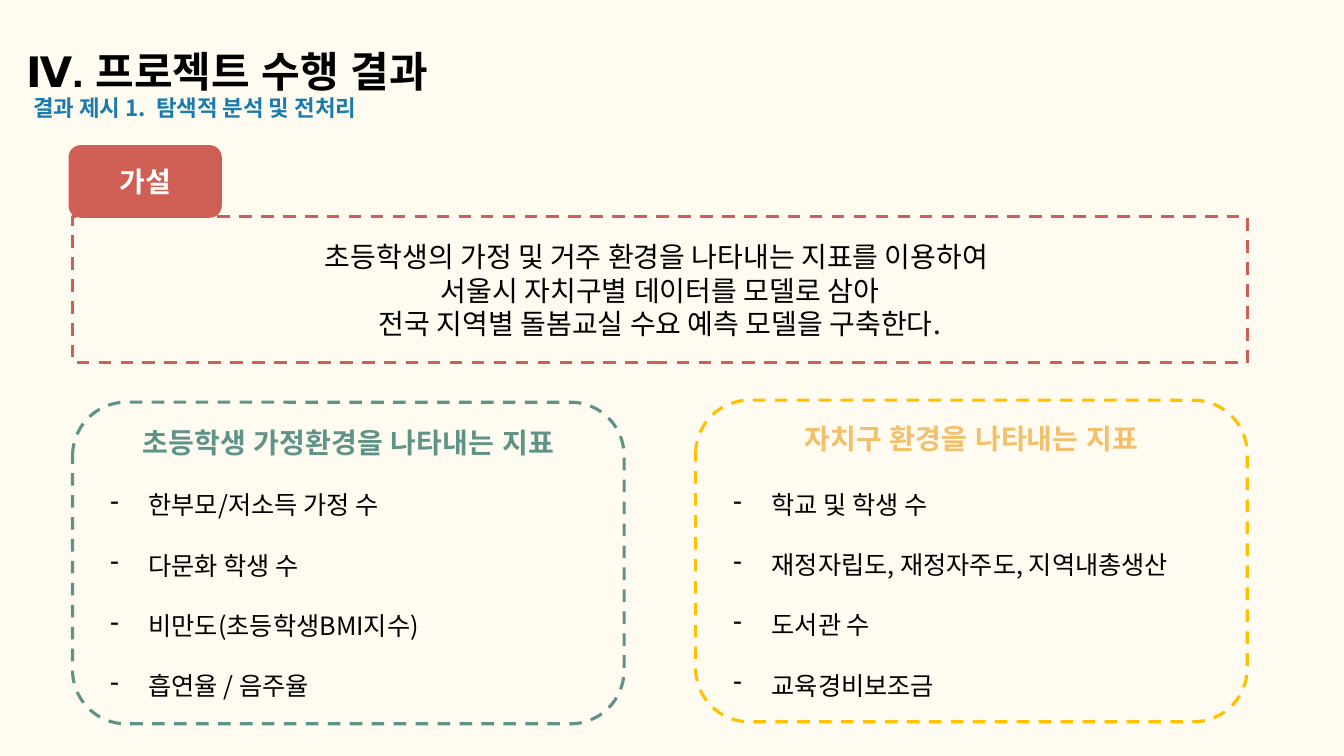
from lxml.etree import SubElement
from pptx import Presentation
from pptx.dml.color import RGBColor
from pptx.enum.dml import MSO_LINE
from pptx.enum.shapes import MSO_SHAPE
from pptx.enum.text import MSO_ANCHOR, PP_ALIGN
from pptx.oxml.ns import qn
from pptx.util import Pt

PX = 9144  # EMU, 100 px to the inch
CREAM = RGBColor(0xFF, 0xFB, 0xF0)
BLACK = RGBColor(0, 0, 0)
WHITE = RGBColor(0xFF, 0xFF, 0xFF)
BLUE = RGBColor(0x1A, 0x7B, 0xAE)
RED = RGBColor(0xCF, 0x5F, 0x54)
GREEN = RGBColor(0x5F, 0x93, 0x87)
YELLOW = RGBColor(0xFF, 0xC0, 0x00)
SAND = RGBColor(0xF2, 0xC0, 0x6B)
ARIAL = "Arial"
NOTO = "Noto Sans CJK KR"

HYPOTHESIS = [
    "초등학생의 가정 및 거주 환경을 나타내는 지표를 이용하여 ",
    "서울시 자치구별 데이터를 모델로 삼아",
    "전국 지역별 돌봄교실 수요 예측 모델을 구축한다.",
]
INDICATOR_CARDS = [
    ((72, 399), GREEN, GREEN, "초등학생 가정환경을 나타내는 지표", 22,
     ["한부모/저소득 가정 수", "다문화 학생 수", "비만도(초등학생BMI지수)", "흡연율 / 음주율"]),
    ((690, 397), YELLOW, SAND, "자치구 환경을 나타내는 지표", 24,
     ["학교 및 학생 수", "재정자립도, 재정자주도, 지역내총생산", "도서관 수", "교육경비보조금"]),
]


def add_run(paragraph, text, size, color, typeface=ARIAL, bold=False):
    run = paragraph.add_run()
    run.text = text
    run.font.color.rgb = color
    for name, value in {"size": Pt(size), "bold": bold, "name": typeface}.items():
        setattr(run.font, name, value)
    SubElement(run.font._element, qn("a:ea"), typeface=typeface)


def set_frame(shape, anchor):
    frame = shape.text_frame
    settings = {"word_wrap": True, "vertical_anchor": anchor}
    for side in ("left", "top", "right", "bottom"):
        settings[f"margin_{side}"] = 10 * PX
    for name, value in settings.items():
        setattr(frame, name, value)
    return frame


def add_text_box(slide, *box):
    shape = slide.shapes.add_textbox(*(value * PX for value in box))
    return set_frame(shape, MSO_ANCHOR.TOP).paragraphs[0]


def add_box(slide, kind, box, fill=None, dash=None):
    """Add a filled or dash-outlined box and return its text frame."""
    shape = slide.shapes.add_shape(kind, *(value * PX for value in box))
    shape.shadow.inherit = False
    if fill:
        shape.fill.solid()
        shape.fill.fore_color.rgb = fill
    else:
        shape.fill.background()
    if dash:
        shape.line.color.rgb = dash
        shape.line.width = Pt(2.25)
        shape.line.dash_style = MSO_LINE.DASH
    else:
        shape.line.fill.background()
    frame = set_frame(shape, MSO_ANCHOR.MIDDLE)
    frame.paragraphs[0].alignment = PP_ALIGN.CENTER
    return frame


def add_dash_item(frame, text, space_before):
    paragraph = frame.add_paragraph()
    paragraph.alignment = PP_ALIGN.LEFT
    paragraph.space_before = Pt(space_before)
    properties = paragraph._p.get_or_add_pPr()
    properties.set("marL", str(50 * PX))
    properties.set("indent", str(-38 * PX))
    bullet_color = SubElement(properties, qn("a:buClr"))
    SubElement(bullet_color, qn("a:srgbClr"), val=str(BLACK))
    SubElement(properties, qn("a:buChar"), char="-")
    add_run(paragraph, text, 18, BLACK, NOTO)


def add_indicator_card(slide, corner, outline, heading_color, heading, heading_gap, items):
    frame = add_box(slide, MSO_SHAPE.ROUNDED_RECTANGLE, (*corner, 547, 319), dash=outline)
    add_run(frame.paragraphs[0], heading, 20, heading_color, bold=True)
    for index, item in enumerate(items):
        add_dash_item(frame, item, 21.5 if index else heading_gap)


def main():
    presentation = Presentation()
    presentation.slide_width = 1333 * PX
    presentation.slide_height = 750 * PX
    slide = presentation.slides.add_slide(presentation.slide_layouts[6])
    slide.background.fill.solid()
    slide.background.fill.fore_color.rgb = CREAM

    subtitle = add_text_box(slide, 23, 83, 400, 41)
    add_run(subtitle, "결과 ", 16, BLUE, "Roboto Condensed", True)
    add_run(subtitle, "제시 1.  탐색적 분석 및 전처리", 16, BLUE, NOTO, True)
    title = add_text_box(slide, 16, 10, 445, 72)
    title.line_spacing = 1.5
    add_run(title, "Ⅳ. 프로젝트 수행 결과", 30, BLACK, bold=True)

    label = add_box(slide, MSO_SHAPE.ROUNDED_RECTANGLE, (68, 144, 152, 72), fill=RED)
    add_run(label.paragraphs[0], "가설", 20, WHITE, bold=True)
    statement = add_box(slide, MSO_SHAPE.RECTANGLE, (72, 215, 1165, 145), dash=RED)
    for index, line in enumerate(HYPOTHESIS):
        paragraph = statement.add_paragraph() if index else statement.paragraphs[0]
        paragraph.alignment = PP_ALIGN.CENTER
        add_run(paragraph, line, 20, BLACK, NOTO)

    for card in INDICATOR_CARDS:
        add_indicator_card(slide, *card)
    presentation.save("out.pptx")


if __name__ == "__main__":
    main()
